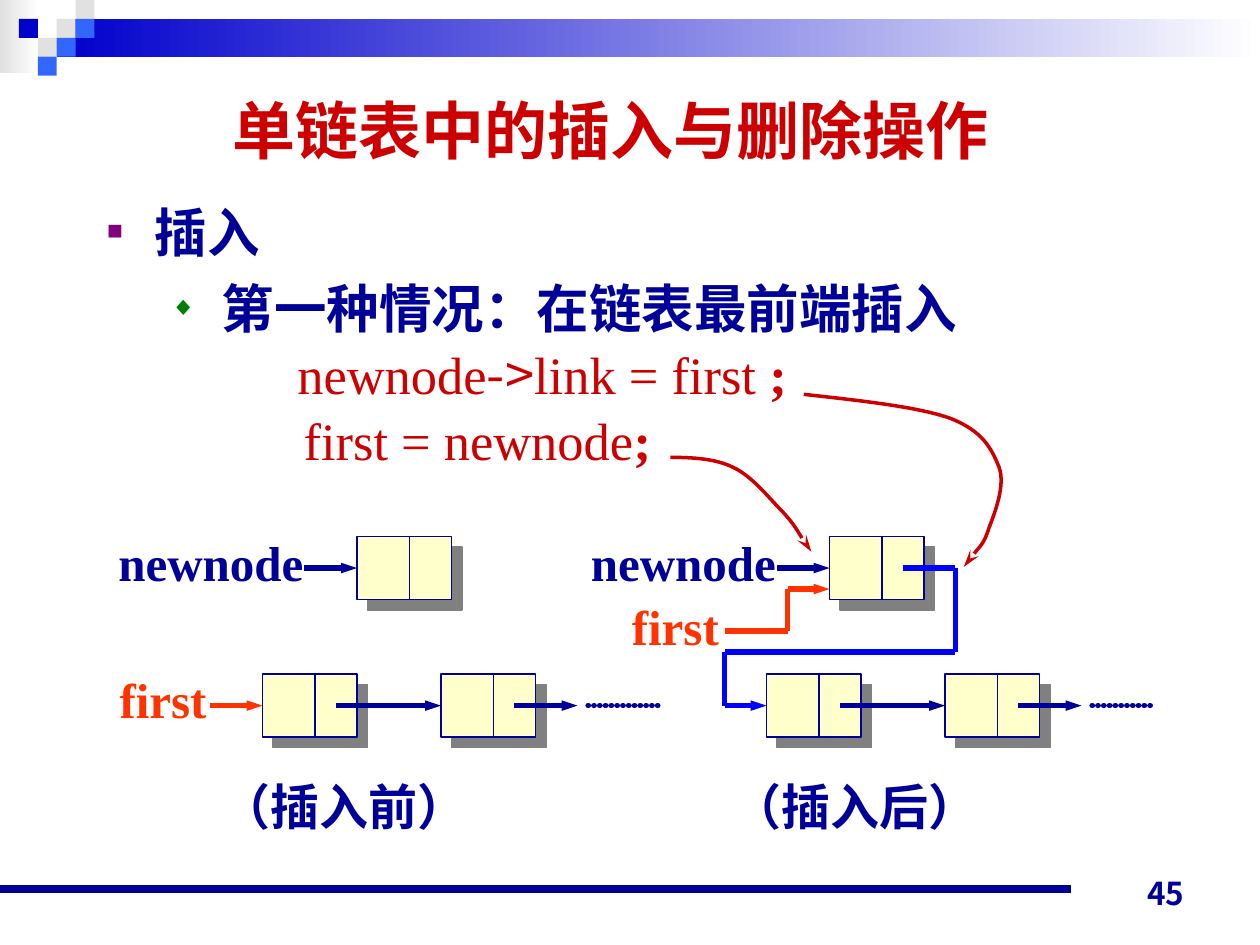
import dataclasses
import itertools

import pptx
import pptx.dml.color
import pptx.enum.shapes
import pptx.enum.text
import pptx.oxml
import pptx.oxml.ns
import pptx.util
from lxml import etree

SHAPES = pptx.enum.shapes.MSO_SHAPE
ALIGN = pptx.enum.text.PP_ALIGN
ANCHOR = pptx.enum.text.MSO_ANCHOR
qn = pptx.oxml.ns.qn
Pt = pptx.util.Pt
Inches = pptx.util.Inches


@dataclasses.dataclass(frozen=True)
class Theme:
    navy: str = "000099"
    red: str = "CC0000"
    orange: str = "FF3300"
    blue: str = "0000FF"
    royal: str = "0000CC"
    sky: str = "3366FF"
    grey: str = "E1E1E1"
    white: str = "FFFFFF"
    cream: str = "FFFFCC"
    shadow: str = "808080"
    purple: str = "800080"
    green: str = "008000"
    sans: str = "Arial"
    serif: str = "Times New Roman"
    cjk: str = "Noto Sans CJK SC"
    number_font: str = "Noto Sans CJK JP"
    title_size: int = 36
    body_size: int = 30
    label_size: int = 28
    number_size: int = 18


def color(value):
    return pptx.dml.color.RGBColor.from_string(value)


def add_xml(parent, tag, **attributes):
    return etree.SubElement(parent, qn(tag), attributes)


def apply(target, values):
    for name, value in values.items():
        setattr(target, name, value)


class Page:
    """Draws on a grid of 120 columns by 90 rows, twelve to the inch."""

    def __init__(self, deck, theme):
        self.theme = theme
        self.slide = deck.slides.add_slide(deck.slide_layouts[1])
        self.shapes = self.slide.shapes
        self.unit = deck.slide_width // 120

    def grid(self, *values):
        return [round(value * self.unit) for value in values]

    def place(self, shape, *area):
        apply(shape, dict(zip(("left", "top", "width", "height"), self.grid(*area))))

    def span(self, para, text, size, tint, font, bold=True):
        span = para.add_run()
        span.text = text
        apply(span.font, {"size": Pt(size), "name": font, "bold": bold})
        span.font.color.rgb = color(tint)

    def rect(self, *area, fill, fade=False):
        box = self.shapes.add_shape(SHAPES.RECTANGLE, *self.grid(*area))
        box.shadow.inherit = False
        box.line.fill.background()
        if fade:
            box.fill.gradient()
            box.fill.gradient_angle = 0
            for stop, tint in zip(box.fill.gradient_stops, (fill, self.theme.white)):
                stop.color.rgb = color(tint)
        else:
            box.fill.solid()
            box.fill.fore_color.rgb = color(fill)
        return box

    def label(self, text, col, row, width, tint, size=None, font=None, align=ALIGN.LEFT, height=6.8):
        box = self.shapes.add_textbox(*self.grid(col, row, width, height))
        apply(box.text_frame, {"word_wrap": False, "vertical_anchor": ANCHOR.BOTTOM})
        para = box.text_frame.paragraphs[0]
        para.alignment = align
        self.span(para, text, size or self.theme.label_size, tint, font or self.theme.serif)

    def stroke(self, shape, tint, weight, head=None):
        """Style a line; head is (type, width, length) of the arrowhead at its end."""
        shape.line.color.rgb = color(tint)
        shape.line.width = Pt(weight)
        if head:
            add_xml(shape.line._get_or_add_ln(), "a:tailEnd", **dict(zip(("type", "w", "len"), head)))

    def route(self, *points, tint, weight=3, arrow=True, dotted=False):
        """Join points with straight segments, the last one ending in an arrowhead."""
        pairs = list(itertools.pairwise(points))
        for index, (start, end) in enumerate(pairs):
            line = self.shapes.add_connector(
                pptx.enum.shapes.MSO_CONNECTOR.STRAIGHT, *self.grid(*start, *end))
            last = arrow and index == len(pairs) - 1
            self.stroke(line, tint, weight, ("triangle", "sm", "med") if last else None)
            if dotted:
                outline = line.line._get_or_add_ln()
                outline.set("cap", "rnd")
                dash = add_xml(outline, "a:custDash")
                add_xml(dash, "a:ds", d="10000", sp="100000")
            add_xml(line._element.spPr, "a:effectLst")

    def curve(self, *points):
        """Draw a Bézier arrow through points in hundredths of an inch, three per segment."""
        builder = self.shapes.build_freeform(*points[0], scale=Inches(0.01))
        builder.add_line_segments(points[1:], close=False)
        shape = builder.convert_to_shape()
        shape.shadow.inherit = False
        shape.fill.background()
        self.stroke(shape, self.theme.red, 2, ("stealth", "med", "lg"))
        lines = list(shape._element.iter(qn("a:lnTo")))
        for first in range(0, len(lines), 3):
            bezier = add_xml(lines[first].getparent(), "a:cubicBezTo")
            for line in lines[first:first + 3]:
                bezier.append(line[0])
                line.getparent().remove(line)

    def node(self, col, row):
        box = self.rect(col, row, 9, 6, fill=self.theme.cream)
        self.stroke(box, self.theme.navy, 0.75)
        effects = box._element.spPr.find(qn("a:effectLst"))
        shadow = add_xml(effects, "a:outerShdw", dist=str(Pt(8.5)), dir="2700000", algn="ctr", rotWithShape="0")
        add_xml(shadow, "a:srgbClr", val=self.theme.shadow)
        self.route((col + 5, row), (col + 5, row + 6), tint=self.theme.navy, weight=0.75, arrow=False)

    def new_node(self, col, row):
        self.node(col, row)
        self.route((col - 5, row + 3), (col, row + 3), tint=self.theme.navy)
        self.label("newnode", col - 23.9, row - 1, 22, self.theme.navy)

    def chain(self, col, row, dots):
        """Draw two linked nodes and the dotted rest of the list."""
        middle = row + 3
        for start, reach in ((0, 10), (17, 6)):
            self.node(col + start, row)
            left = col + start + 7
            self.route((left, middle), (left + reach, middle), tint=self.theme.navy)
        self.route((col + 31, middle), (col + 31 + dots, middle), tint=self.theme.navy, arrow=False, dotted=True)

    def title(self, text):
        title = self.shapes.title
        self.place(title, 12.8, 6.4, 90.6, 11.8)
        title.text_frame.vertical_anchor = ANCHOR.MIDDLE
        para = title.text_frame.paragraphs[0]
        para.alignment = ALIGN.CENTER
        self.span(para, text, self.theme.title_size, self.theme.red, self.theme.sans)

    def body(self, lines):
        """Fill the list; a line is (level, margin, hanging, space, bullet, spans)."""
        holder = self.slide.placeholders[1]
        self.place(holder, 9, 18.4, 106, 30.8)
        frame = holder.text_frame
        for index, (level, margin, hanging, space, bullet, spans) in enumerate(lines):
            para = frame.add_paragraph() if index else frame.paragraphs[0]
            para.level = level
            settings = para._p.get_or_add_pPr()
            settings.set("marL", str(Inches(margin)))
            settings.set("indent", str(-Inches(hanging)))
            if bullet:
                sign, tint = bullet
                add_xml(add_xml(settings, "a:buClr"), "a:srgbClr", val=tint)
                add_xml(settings, "a:buSzPct", val="50000")
                add_xml(settings, "a:buChar", char=sign)
            else:
                add_xml(settings, "a:buNone")
            para.space_before = Pt(space)
            for text, tint, font, bold in spans:
                self.span(para, text, self.theme.body_size, tint, font, bold)


def draw_frame(page, theme):
    page.rect(0, 0, 3.7, 7, fill=theme.grey, fade=True)
    page.rect(5.4, 1.8, 114.6, 3.6, fill=theme.royal, fade=True)
    side = 1.8
    squares = {theme.grey: ((3, 1), (4, 0), (2, 2)),
               theme.sky: ((4, 1), (3, 2), (2, 3)),
               theme.royal: ((1, 1),)}
    for tint, cells in squares.items():
        for col, row in cells:
            page.rect(col * side, row * side, side, side, fill=tint)
    page.route((0, 84.7), (102, 84.7), tint=theme.navy, weight=4.5, arrow=False)
    page.label("45", 86, 81.4, 28, theme.navy, theme.number_size, theme.number_font, ALIGN.RIGHT, 6)


def draw_text(page, theme):
    page.title("单链表中的插入与删除操作")
    code = (theme.red, theme.serif, False)
    end = (";", theme.red, theme.serif, True)
    page.body([
        (0, 0.38, 0.38, 0, ("■", theme.purple), [("插入", theme.navy, theme.sans, True)]),
        (1, 0.91, 0.41, 7.5, ("◆", theme.green),
         [("第一种情况：在链表最前端插入", theme.navy, theme.sans, True)]),
        (0, 1.51, 0, 1.9, None,
         [("newnode", *code), ("->", theme.red, theme.cjk, False), ("link = first ", *code), end]),
        (0, 1.56, 0, 1.9, None, [("first = newnode", *code), end]),
    ])


def draw_lists(page, theme):
    upper, lower = 51.1, 64.2
    page.new_node(34, upper)
    page.chain(25, lower, dots=7)
    page.route((20, lower + 3), (25, lower + 3), tint=theme.orange)
    page.label("first", 10.2, lower - 1, 10.7, theme.orange)

    page.new_node(79, upper)
    page.chain(73, lower, dots=6)
    page.route((69, 60.1), (75, 60.1), (75, 56.1), (79, 56.1), tint=theme.orange)
    page.label("first", 59, 56.2, 10.7, theme.orange)
    page.route((86, upper + 3), (91, upper + 3), (91, 62.1), (69, 62.1),
               (69, lower + 3), (73, lower + 3), tint=theme.blue)

    for text, col in (("（插入前）", 19.9), ("（插入后）", 68.6)):
        page.label(text, col, 73.3, 26, theme.navy)
    page.curve((638, 313), (683, 318), (729, 323), (754, 332), (780, 342), (787, 356), (793, 371),
               (798, 385), (790, 406), (785, 419), (781, 432), (768, 445), (765, 450))
    page.curve((532, 363), (550, 363), (568, 364), (582, 371), (597, 378),
               (610, 395), (621, 406), (631, 417), (640, 433), (644, 438))


def main():
    deck = pptx.Presentation()
    apply(deck, {"slide_width": Inches(10), "slide_height": Inches(7.5)})
    theme = Theme()
    page = Page(deck, theme)
    for draw in (draw_frame, draw_text, draw_lists):
        draw(page, theme)
    deck.save("out.pptx")


if __name__ == "__main__":
    main()
